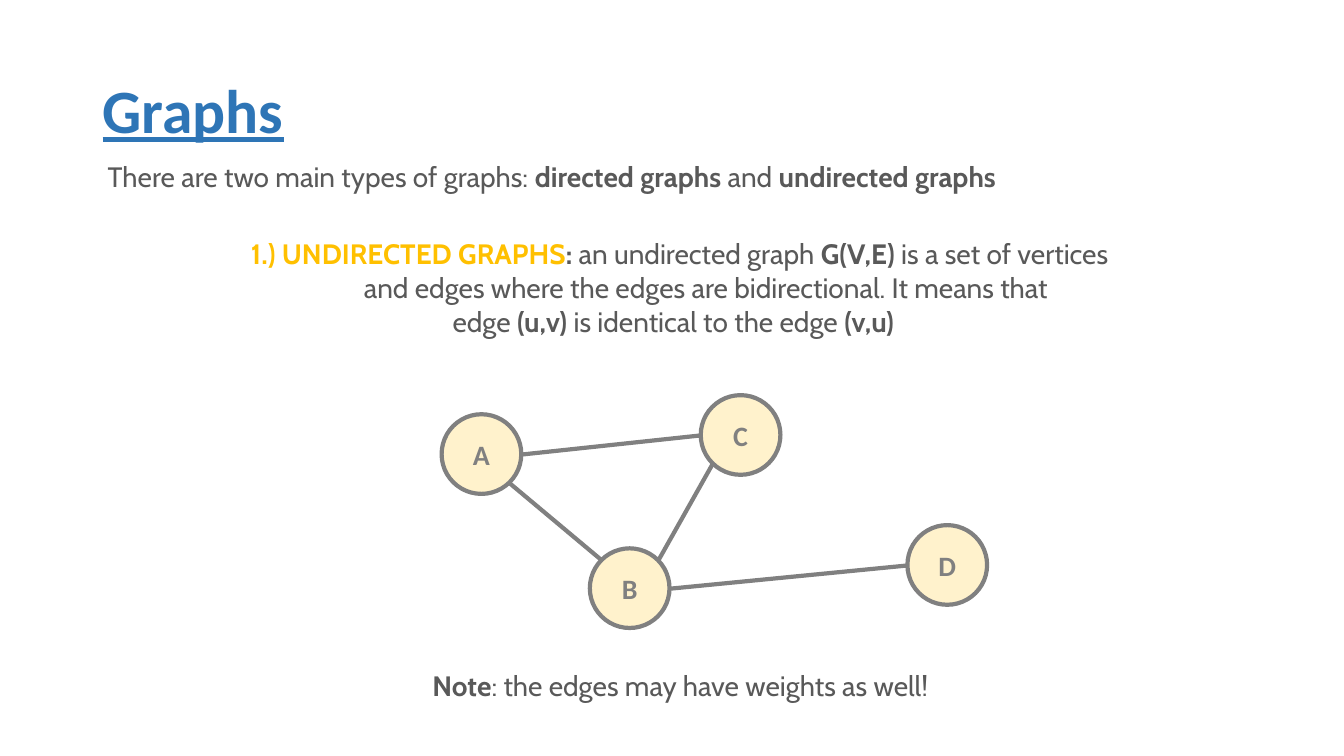
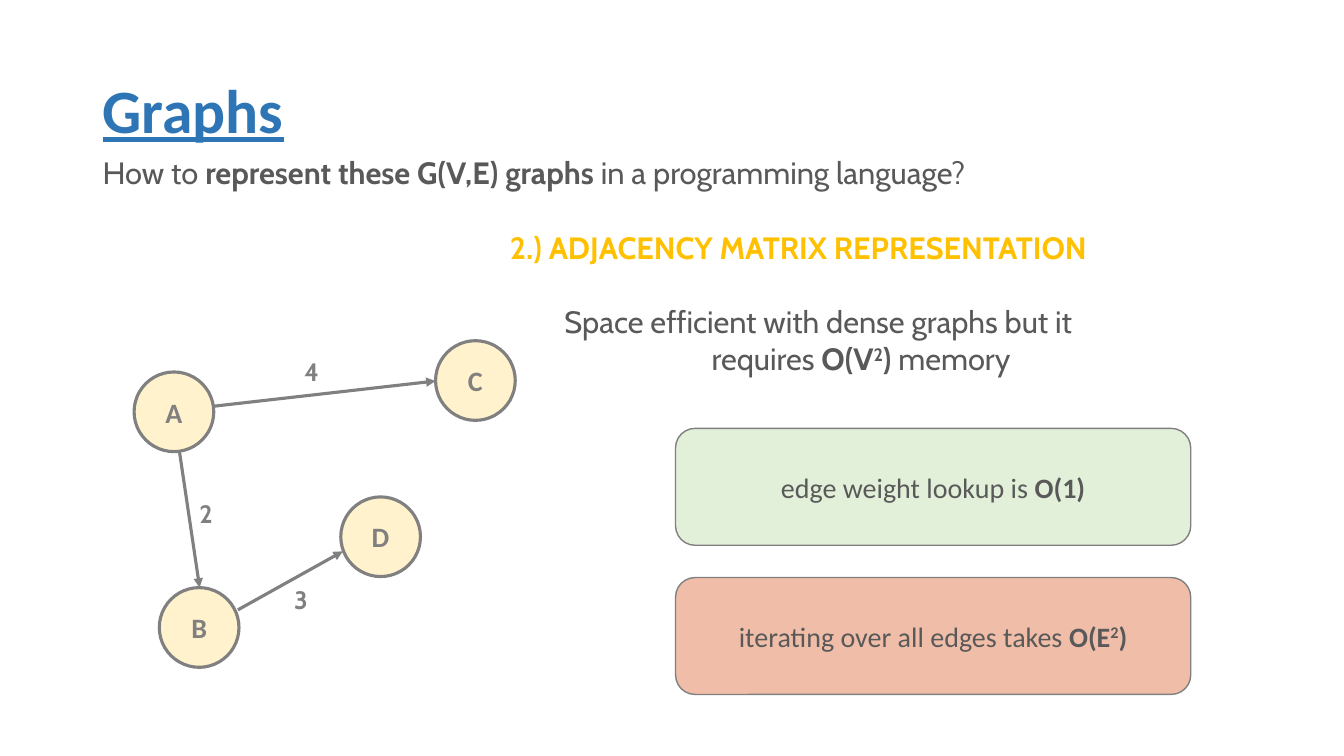
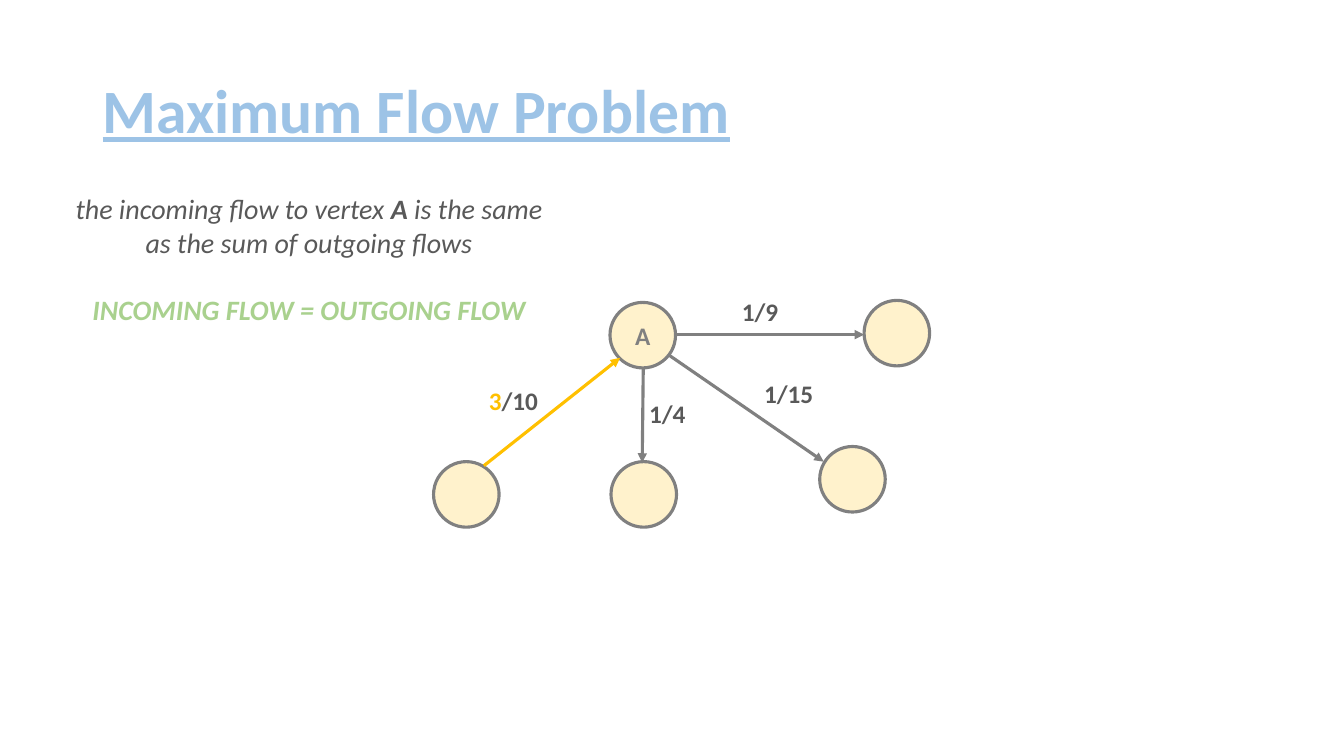
"""Build three slides on graph types, adjacency matrices and flow conservation."""
from lxml.etree import SubElement
from pptx import Presentation
from pptx.dml.color import RGBColor
from pptx.enum.shapes import MSO_CONNECTOR as LINE, MSO_SHAPE as SHAPE
from pptx.enum.text import MSO_ANCHOR as ANCHOR, PP_ALIGN as ALIGN
from pptx.oxml.ns import qn
from pptx.util import Inches, Pt

BLUE = RGBColor(0x2E, 0x75, 0xB6)
LIGHT_BLUE = RGBColor(0x9D, 0xC3, 0xE6)
CREAM = RGBColor(0xFF, 0xF2, 0xCC)
GRAY = RGBColor(0x80, 0x80, 0x80)
DARK = RGBColor(0x59, 0x59, 0x59)
GOLD = RGBColor(0xFF, 0xC0, 0x00)
GREEN = RGBColor(0xA9, 0xD1, 0x8E)
PALE_GREEN = RGBColor(0xE2, 0xF0, 0xD9)
SALMON = RGBColor(0xF0, 0xBD, 0xA8)

BOLD = {"bold": True}
SUPER = {"bold": True, "baseline": 30000}
CENTER = {"alignment": ALIGN.CENTER}
TITLE = {"name": "Calibri", "size": Pt(44), "bold": True, "underline": True}
CABIN = {"name": "Cabin", "size": Pt(20), "color": DARK}
CABIN_LARGE = {**CABIN, "size": Pt(22)}
CALIBRI = {"name": "Calibri", "size": Pt(20), "color": DARK}
NODE = {**CALIBRI, "bold": True, "color": GRAY}
WEIGHT = {"name": "Cabin", "size": Pt(18), "bold": True, "color": GRAY}
FLOW = {"name": "Calibri", "size": Pt(18), "bold": True, "color": DARK}


def write(frame, style, paragraphs):
    """Fill a frame with (paragraph format, runs) pairs; a run is (text, changes)."""
    frame.word_wrap = True
    for number, (layout, runs) in enumerate(paragraphs):
        para = frame.add_paragraph() if number else frame.paragraphs[0]
        for name, value in layout.items():
            if name == "indent":
                para._p.get_or_add_pPr().set("marL", str(Inches(value)))
            else:
                setattr(para, name, value)
        for text, changes in runs:
            span = para.add_run()
            span.text = text
            for name, value in {**style, **changes}.items():
                if name == "color":
                    span.font.color.rgb = value
                elif name == "baseline":
                    span._r.get_or_add_rPr().set("baseline", str(value))
                else:
                    setattr(span.font, name, value)


def add_panel(page, kind, at, fill, weight):
    """Add a filled, gray-edged shape with middle-anchored text."""
    panel = page.shapes.add_shape(kind, *map(Inches, at))
    panel.shadow.inherit = False
    panel.fill.solid()
    panel.fill.fore_color.rgb = fill
    panel.line.color.rgb = GRAY
    panel.line.width = Pt(weight)
    panel.text_frame.vertical_anchor = ANCHOR.MIDDLE
    return panel


slides = [
    {
        "title": ("Graphs", BLUE),
        "node": (0.79, 3, 20),
        "nodes": [("A", 4.38, 4.11), ("C", 6.95, 3.92), ("B", 5.85, 5.44), ("D", 9, 5.21)],
        "edges": [
            (5.17, 4.51, 6.95, 4.32, GRAY),
            (5.05, 4.79, 5.97, 5.56, GRAY),
            (6.53, 5.56, 7.07, 4.6, GRAY),
            (6.65, 5.84, 9, 5.61, GRAY),
        ],
        "arrows": False,
        "texts": [
            ((0.97, 1.53, 9.9, 0.44), CABIN, [
                ({}, [("There are two main types of graphs: ", {}), ("directed graphs ", BOLD),
                      ("and ", {}), ("undirected graphs", BOLD)]),
            ]),
            ((2.39, 2.3, 9.42, 1.2), CABIN, [
                ({}, [("1.) UNDIRECTED GRAPHS", {"bold": True, "color": GOLD}), (": ", BOLD),
                      ("an undirected graph ", {}), ("G(V,E)", BOLD),
                      (" is a set of vertices", {})]),
                ({"indent": 1.12},
                 [("and edges where the edges are bidirectional. It means that", {})]),
                ({"indent": 2}, [("edge ", {}), ("(u,v)", BOLD),
                                 (" is identical to the edge ", {}), ("(v,u)", BOLD)]),
            ]),
            ((4.19, 6.58, 5.6, 0.44), CABIN, [
                ({}, [("Note", BOLD), (": the edges may have weights as well!", {})]),
            ]),
        ],
        "panels": [],
    },
    {
        "title": ("Graphs", BLUE),
        "node": (0.79, 2.25, 20),
        "nodes": [("A", 1.33, 3.69), ("C", 4.32, 3.38), ("B", 1.58, 5.83), ("D", 3.38, 4.93)],
        "edges": [
            (1.78, 4.48, 1.98, 5.83, GRAY),
            (2.12, 4.03, 4.32, 3.78, GRAY),
            (2.36, 6.05, 3.4, 5.47, GRAY),
        ],
        "arrows": True,
        "texts": [
            ((0.92, 1.48, 9.52, 0.47), CABIN_LARGE, [
                ({}, [("How to ", {}), ("represent these G(V,E) graphs ", BOLD),
                      ("in a programming language?", {})]),
            ]),
            ((4.96, 2.22, 6.47, 1.6), CABIN_LARGE, [
                ({}, [("2.) ADJACENCY MATRIX REPRESENTATION", {"bold": True, "color": GOLD})]),
                ({"indent": 0.54, "space_before": Pt(26.7)},
                 [("Space efficient with dense graphs but it", {})]),
                ({"indent": 2}, [("requires ", {}), ("O(V", BOLD), ("2", SUPER), (")", BOLD),
                                 (" memory", {})]),
            ]),
            ((2.92, 3.49, 0.4, 0.4), WEIGHT, [({}, [("4", {})])]),
            ((1.88, 4.89, 0.4, 0.4), WEIGHT, [({}, [("2", {})])]),
            ((2.82, 5.75, 0.4, 0.4), WEIGHT, [({}, [("3", {})])]),
        ],
        "panels": [
            (4.25, PALE_GREEN, [("edge weight lookup is ", {}), ("O(1)", BOLD)]),
            (5.73, SALMON, [("iterating over all edges takes ", {}), ("O(E", BOLD),
                            ("2", SUPER), (")", BOLD)]),
        ],
    },
    {
        "title": ("Maximum Flow Problem", LIGHT_BLUE),
        "node": (0.65, 2.25, 18),
        "nodes": [("A", 6.05, 3), ("", 8.57, 2.98), ("", 8.13, 4.43), ("", 6.06, 4.58),
                  ("", 4.3, 4.58)],
        "edges": [
            (6.63, 3.52, 8.17, 4.58, GRAY),
            (4.8, 4.62, 6.15, 3.55, GOLD),
            (6.38, 3.65, 6.37, 4.59, GRAY),
            (6.7, 3.32, 8.57, 3.32, GRAY),
        ],
        "arrows": True,
        "texts": [
            ((4.75, 3.77, 0.8, 0.4), FLOW, [({}, [("3", {"color": GOLD}), ("/10", {})])]),
            ((7.48, 3.7, 0.8, 0.4), FLOW, [({}, [("1/15", {})])]),
            ((7.26, 2.89, 0.8, 0.4), FLOW, [({}, [("1/9", {})])]),
            ((6.34, 3.9, 0.8, 0.4), FLOW, [({}, [("1/4", {})])]),
            ((0.63, 1.85, 4.87, 1.45), {**CALIBRI, "italic": True}, [
                (CENTER, [("the incoming flow to vertex ", {}), ("A", BOLD),
                          (" is the same", {})]),
                (CENTER, [("as the sum of outgoing flows", {})]),
                ({**CENTER, "space_before": Pt(24.4)},
                 [("INCOMING FLOW = OUTGOING FLOW", {"bold": True, "color": GREEN})]),
            ]),
        ],
        "panels": [],
    },
]

deck = Presentation()
deck.slide_width, deck.slide_height = Inches(13.33), Inches(7.5)

for content in slides:
    page = deck.slides.add_slide(deck.slide_layouts[6])

    heading, color = content["title"]
    box = page.shapes.add_textbox(*map(Inches, (0.92, 0.4, 11.5, 1.45)))
    box.text_frame.vertical_anchor = ANCHOR.MIDDLE
    write(box.text_frame, {**TITLE, "color": color}, [({"line_spacing": 0.9}, [(heading, {})])])

    diameter, weight, size = content["node"]
    for letter, left, top in content["nodes"]:
        node = add_panel(page, SHAPE.OVAL, (left, top, diameter, diameter), CREAM, weight)
        if letter:
            for side in ("left", "right", "top", "bottom"):
                setattr(node.text_frame, "margin_" + side, 0)
            write(node.text_frame, {**NODE, "size": Pt(size)}, [(CENTER, [(letter, {})])])

    for *ends, color in content["edges"]:
        edge = page.shapes.add_connector(LINE.STRAIGHT, *map(Inches, ends))
        edge.line.color.rgb = color
        edge.line.width = Pt(weight)
        if content["arrows"]:
            SubElement(edge.line._get_or_add_ln(), qn("a:tailEnd"), type="triangle")
        SubElement(edge._element.spPr, qn("a:effectLst"))

    for at, style, paragraphs in content["texts"]:
        box = page.shapes.add_textbox(*map(Inches, at))
        write(box.text_frame, style, paragraphs)

    for top, fill, runs in content["panels"]:
        panel = add_panel(page, SHAPE.ROUNDED_RECTANGLE, (6.7, top, 5.11, 1.16), fill, 1)
        write(panel.text_frame, CALIBRI, [(CENTER, runs)])

deck.save("out.pptx")
